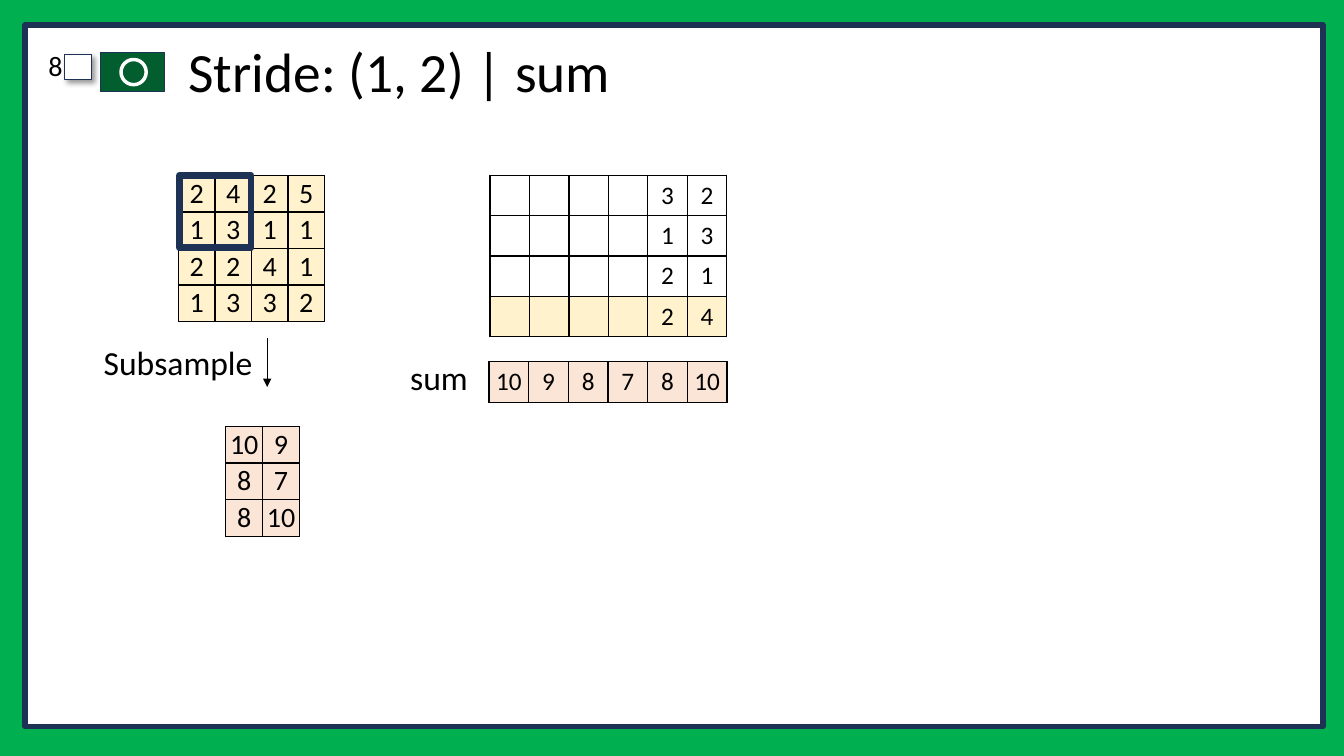
from lxml import etree
from pptx import Presentation
from pptx.dml.color import RGBColor
from pptx.enum.shapes import MSO_CONNECTOR as CONN, MSO_SHAPE as SHAPE
from pptx.enum.text import MSO_ANCHOR as ANCHOR, PP_ALIGN as ALIGN
from pptx.oxml import parse_xml
from pptx.oxml.ns import nsdecls, qn
from pptx.util import Inches, Pt

GREEN, DARK_GREEN, NAVY = "00B050", "035E2F", "1E3256"
BLACK, WHITE, CREAM, PEACH = "000000", "FFFFFF", "FFF2CC", "FBE5D6"


def rgb(value):
    return RGBColor.from_string(value)


class SlideBuilder:
    font = "Calibri"

    def __init__(self, slide):
        self.s = slide

    def background(self, color):
        fill = self.s.background.fill
        fill.solid()
        fill.fore_color.rgb = rgb(color)

    def style(self, p, size, align):
        p.alignment = align
        p.font.name = self.font
        p.font.size = Pt(size)
        p.font.color.rgb = rgb(BLACK)

    def paint(self, fill, color):
        if color:
            fill.solid()
            fill.fore_color.rgb = rgb(color)
        else:
            fill.background()

    def shape(self, kind, box, fill, line, width):
        sp = self.s.shapes.add_shape(kind, *map(Inches, box))
        sp.shadow.inherit = False
        self.paint(sp.fill, fill)
        sp.line.color.rgb = rgb(line)
        sp.line.width = Pt(width)
        return sp

    def drop_shadow(self, sp):
        effects = sp._element.spPr.find(qn("a:effectLst"))
        effects.append(parse_xml(
            f'<a:outerShdw {nsdecls("a")} blurRad="{Pt(4)}" dist="{Pt(3)}" dir="2700000" '
            f'algn="tl" rotWithShape="0"><a:srgbClr val="{BLACK}"><a:alpha val="40000"/>'
            '</a:srgbClr></a:outerShdw>'))

    def text(self, text, box, size, align=ALIGN.LEFT, anchor=ANCHOR.TOP, wrap=True, spacing=1.0):
        tf = self.s.shapes.add_textbox(*map(Inches, box)).text_frame
        tf.word_wrap = wrap
        tf.vertical_anchor = anchor
        p = tf.paragraphs[0]
        p.text = text
        p.line_spacing = spacing
        self.style(p, size, align)

    def border(self, cell):
        tc_pr = cell._tc.get_or_add_tcPr()
        for i, side in enumerate(("lnL", "lnR", "lnT", "lnB")):
            tc_pr.insert(i, parse_xml(
                f'<a:{side} {nsdecls("a")} w="{Pt(1)}"><a:solidFill>'
                f'<a:srgbClr val="{BLACK}"/></a:solidFill></a:{side}>'))

    def table(self, rows, box, size, row_fills):
        n_rows, n_cols = len(rows), len(rows[0])
        table = self.s.shapes.add_table(n_rows, n_cols, *map(Inches, box)).table
        table.first_row = table.horz_banding = False
        for r, (values, color) in enumerate(zip(rows, row_fills)):
            for c, value in enumerate(values):
                cell = table.cell(r, c)
                cell.margin_left = cell.margin_right = 0
                cell.margin_top = cell.margin_bottom = 0
                cell.vertical_anchor = ANCHOR.MIDDLE
                self.paint(cell.fill, color)
                self.border(cell)
                p = cell.text_frame.paragraphs[0]
                if value != "":
                    p.text = str(value)
                self.style(p, size, ALIGN.CENTER)

    def arrow(self, x1, y1, x2, y2):
        cx = self.s.shapes.add_connector(CONN.STRAIGHT, *map(Inches, (x1, y1, x2, y2)))
        cx.line.color.rgb = rgb(BLACK)
        cx.line.width = Pt(0.5)
        etree.SubElement(cx.line._get_or_add_ln(), qn("a:tailEnd"), type="triangle")
        etree.SubElement(cx._element.spPr, qn("a:effectLst"))


def main():
    prs = Presentation()
    prs.slide_width, prs.slide_height = Inches(13.33), Inches(7.5)
    b = SlideBuilder(prs.slides.add_slide(prs.slide_layouts[6]))

    # Frame, page number and badge
    b.background(GREEN)
    b.shape(SHAPE.RECTANGLE, (0.25, 0.25, 12.87, 6.96), WHITE, NAVY, 4)
    b.drop_shadow(b.shape(SHAPE.RECTANGLE, (0.64, 0.54, 0.27, 0.25), WHITE, NAVY, 1))
    b.shape(SHAPE.RECTANGLE, (1, 0.52, 0.63, 0.39), DARK_GREEN, NAVY, 1)
    b.shape(SHAPE.OVAL, (1.2, 0.59, 0.25, 0.25), DARK_GREEN, WHITE, 2.5)
    b.text("8", (-0.02, 0.47, 0.74, 0.45), 20, align=ALIGN.RIGHT, spacing=0.9)

    # Title
    b.text("Stride: (1, 2) | sum", (1.77, 0.4, 10.65, 0.68), 39.6,
           anchor=ANCHOR.MIDDLE, spacing=0.9)

    # Input grid with the pooling window
    pixels = [[2, 4, 2, 5], [1, 3, 1, 1], [2, 2, 4, 1], [1, 3, 3, 2]]
    b.text("Subsample", (0.93, 3.34, 1.69, 0.5), 24, wrap=False)
    b.table(pixels, (1.77, 1.74, 1.45, 1.45), 20, [CREAM] * 4)
    b.shape(SHAPE.RECTANGLE, (1.78, 1.74, 0.71, 0.72), None, NAVY, 5)

    # Subsampled grid
    sums = [10, 9, 8, 7, 8, 10]
    pairs = [sums[i:i + 2] for i in range(0, len(sums), 2)]
    b.table(pairs, (2.24, 4.23, 0.73, 1.09), 20, [PEACH] * 3)
    b.arrow(2.65, 3.35, 2.65, 3.84)

    # Unrolled windows and their sums
    windows = [[""] * 4 + pair for pair in ([3, 2], [1, 3], [2, 1], [2, 4])]
    b.table(windows, (4.86, 1.74, 2.35, 1.6), 18, [None] * 3 + [CREAM])
    b.table([sums], (4.85, 3.59, 2.36, 0.4), 18, [PEACH])
    b.text("sum", (3.97, 3.49, 0.78, 0.5), 24, wrap=False)

    prs.save("out.pptx")


if __name__ == "__main__":
    main()
